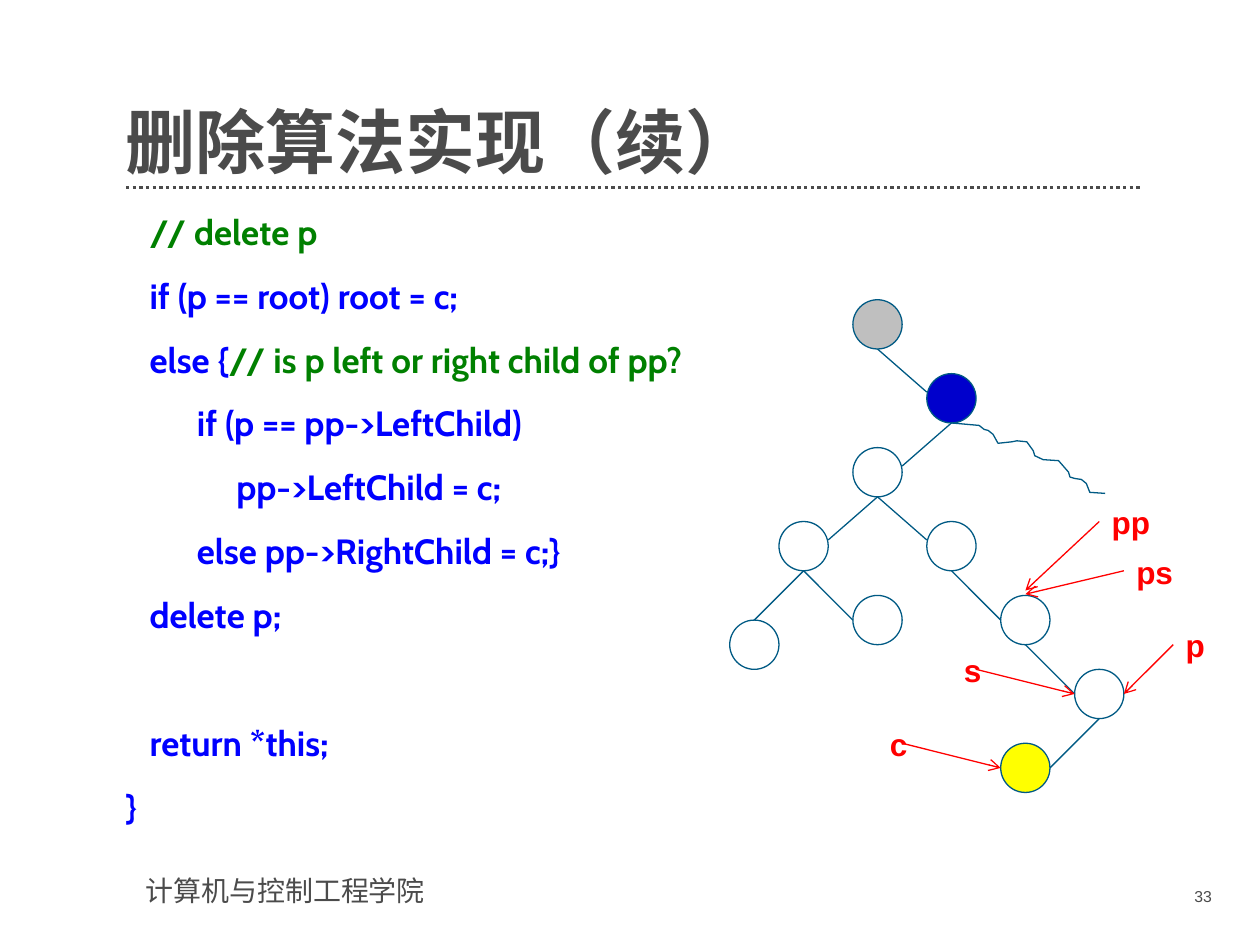
"""Build the slide on deleting a node from a binary search tree."""
from lxml import etree
from pptx import Presentation
from pptx.dml.color import RGBColor
from pptx.enum.dml import MSO_LINE
from pptx.enum.shapes import MSO_CONNECTOR, MSO_SHAPE
from pptx.enum.text import MSO_ANCHOR, PP_ALIGN
from pptx.oxml.ns import qn
from pptx.util import Cm, Pt

STRAIGHT = MSO_CONNECTOR.STRAIGHT
OVAL = MSO_SHAPE.OVAL
DOTTED = MSO_LINE.ROUND_DOT
BOTTOM = MSO_ANCHOR.BOTTOM
RIGHT = PP_ALIGN.RIGHT

THEME = {
    "colours": {
        "grey": "4B4B4B", "comment": "008000", "code": "0000FF",
        "outline": "005A84", "pointer": "FF0000",
        "parent": "BFBFBF", "deleted": "0000CC", "child": "FFFF00",
    },
    "fonts": {
        "title": {"name": "Noto Sans CJK SC", "size": Pt(40), "bold": True},
        "code": {"name": "Cabin", "size": Pt(20), "bold": True},
        "pointer": {"name": "Arial", "size": Pt(18), "bold": True},
        "footer": {"name": "Arial", "size": Pt(16), "bold": False},
        "number": {"name": "Arial", "size": Pt(9), "bold": False},
    },
    "east_asian": "Noto Sans CJK SC",
    "thin": Pt(0.75),
    "rule": Pt(1.9),
}

TITLE = "删除算法实现（续）"
FOOTER = "计算机与控制工程学院"
PAGE = "33"
LINE_GAP, SECTION_GAP = Pt(12.5), Pt(49.3)
CODE = [
    (LINE_GAP, [("comment", "   // delete p")]),
    (LINE_GAP, [("code", "   if (p == root) root = c;")]),
    (LINE_GAP, [("code", "   else {"),
                ("comment", "// is p left or right child of pp?")]),
    (LINE_GAP, [("code", "         if (p == pp->LeftChild)")]),
    (LINE_GAP, [("code", "              pp->LeftChild = c;")]),
    (LINE_GAP, [("code", "         else pp->RightChild = c;}")]),
    (LINE_GAP, [("code", "   delete p;")]),
    (SECTION_GAP, [("code", "   return *this;")]),
    (LINE_GAP, [("code", "}")]),
]

ROOT_X, ROOT_Y = 17.69, 6.54
RADIUS = 1.49 / 3
NODES = {
    "top": (0, 0, "parent"),
    "deleted": (3, 3, "deleted"),
    "left": (0, 6, None),
    "left_left": (-3, 9, None),
    "left_right": (3, 9, None),
    "leaf_left": (-5, 13, None),
    "leaf_right": (0, 12, None),
    "pp": (6, 12, None),
    "p": (9, 15, None),
    "c": (6, 18, "child"),
}
EDGES = [
    ("top", "deleted", (-1, -0.25)),
    ("deleted", "left", (1, -0.25)),
    ("left", "left_left", (1, -0.25)),
    ("left", "left_right", (-1, -0.25)),
    ("left_left", "leaf_left", (0, -1)),
    ("left_left", "leaf_right", (-1, 0)),
    ("left_right", "pp", (-1, 0)),
    ("pp", "p", (-1, 0)),
    ("p", "c", (1, 0)),
]
POINTERS = [
    ("p", (12, 13), (10, 15), 0),
    ("pp", (9, 8), (6, 10.8), 0),
    ("ps", (10, 10), (6, 10.95), 0),
    ("s", (4, 14), (8, 15), -1),
    ("c", (1, 17), (5, 18), -1),
]
SUBTREE_START = (3, 4)
SUBTREE = [
    (0.56, 0.05), (0.66, 0.13), (0.74, 0.15), (0.84, 0.23), (0.94, 0.41),
    (1.22, 0.38), (1.32, 0.36), (1.52, 0.38), (1.65, 0.56), (1.68, 0.66),
    (1.85, 0.74), (2.16, 0.76), (2.36, 0.99), (2.39, 1.09), (2.49, 1.12),
    (2.62, 1.14), (2.72, 1.22), (2.79, 1.4), (3.1, 1.42),
]


def colour(role):
    return RGBColor.from_string(THEME["colours"][role])


def apply(target, values):
    for name, value in values.items():
        setattr(target, name, value)


def place(column, row):
    return Cm(ROOT_X + column * RADIUS), Cm(ROOT_Y + row * RADIUS)


def outline(line, role, width):
    line.color.rgb = colour(role)
    line.width = width


def add_run(paragraph, words, font, role):
    run = paragraph.add_run()
    run.text = words
    apply(run.font, THEME["fonts"][font])
    run.font.color.rgb = colour(role)
    east_asian = etree.SubElement(run.font._element, qn("a:ea"))
    east_asian.set("typeface", THEME["east_asian"])


def add_box(slide, left, top, width, height, margins=(0.25, 0.13)):
    frame = slide.shapes.add_textbox(left, top, width, height).text_frame
    across, down = map(Cm, margins)
    apply(frame, {"word_wrap": True, "margin_left": across, "margin_right": across,
                  "margin_top": down, "margin_bottom": down})
    return frame


def add_line(slide, start, end, role, width, arrow=False):
    connector = slide.shapes.add_connector(STRAIGHT, *start, *end)
    outline(connector.line, role, width)
    properties = connector._element.spPr
    if arrow:
        etree.SubElement(connector.line._get_or_add_ln(), qn("a:tailEnd")).set("type", "arrow")
    etree.SubElement(properties, qn("a:effectLst"))
    return connector


def add_texts(slide):
    rule = add_line(slide, (Cm(2.54), Cm(3.78)), (Cm(23.01), Cm(3.78)), "grey", THEME["rule"])
    rule.line.dash_style = DOTTED

    title = add_box(slide, Cm(2.54), Cm(1.4), Cm(20.47), Cm(2.31), (0, 0))
    title.vertical_anchor = BOTTOM
    title.paragraphs[0].line_spacing = 0.9
    add_run(title.paragraphs[0], TITLE, "title", "grey")

    listing = add_box(slide, Cm(2.54), Cm(4.24), Cm(20.47), Cm(12.7), (0, 0))
    for index, (gap, parts) in enumerate(CODE):
        paragraph = listing.add_paragraph() if index else listing.paragraphs[0]
        if index:
            paragraph.space_before = gap
        for role, words in parts:
            add_run(paragraph, words, "code", role)

    footer = add_box(slide, Cm(2.69), Cm(17.48), Cm(7.6), Cm(0.94))
    add_run(footer.paragraphs[0], FOOTER, "footer", "grey")
    number = add_box(slide, Cm(22.17), Cm(17.75), Cm(2.51), Cm(0.74))
    number.paragraphs[0].alignment = RIGHT
    add_run(number.paragraphs[0], PAGE, "number", "grey")


def add_tree(slide):
    thin = THEME["thin"]
    for column, row, role in NODES.values():
        node = slide.shapes.add_shape(
            OVAL, *place(column - 1, row - 1), Cm(2 * RADIUS), Cm(2 * RADIUS))
        node.shadow.inherit = False
        outline(node.line, "outline", thin)
        if role:
            node.fill.solid()
            node.fill.fore_color.rgb = colour(role)
        else:
            node.fill.background()

    for upper, lower, (across, down) in EDGES:
        column, row, _ = NODES[upper]
        end_column, end_row, _ = NODES[lower]
        add_line(slide, place(column, row + 1),
                 place(end_column + across, end_row + down), "outline", thin)

    left, top = place(*SUBTREE_START)
    builder = slide.shapes.build_freeform(left, top)
    builder.add_line_segments([(left + Cm(x), top + Cm(y)) for x, y in SUBTREE], close=False)
    subtree = builder.convert_to_shape()
    subtree.shadow.inherit = False
    subtree.fill.background()
    outline(subtree.line, "outline", thin)

    for name, start, end, shift in POINTERS:
        add_line(slide, place(*start), place(*end), "pointer", thin, arrow=True)
        label = add_box(slide, *place(start[0] + shift, start[1] - 1), Cm(1.5), Cm(1.02))
        add_run(label.paragraphs[0], name, "pointer", "pointer")


def main():
    deck = Presentation()
    apply(deck, {"slide_width": Cm(25.4), "slide_height": Cm(19.05)})
    slide = deck.slides.add_slide(deck.slide_layouts[6])
    add_texts(slide)
    add_tree(slide)
    deck.save("out.pptx")


if __name__ == "__main__":
    main()
